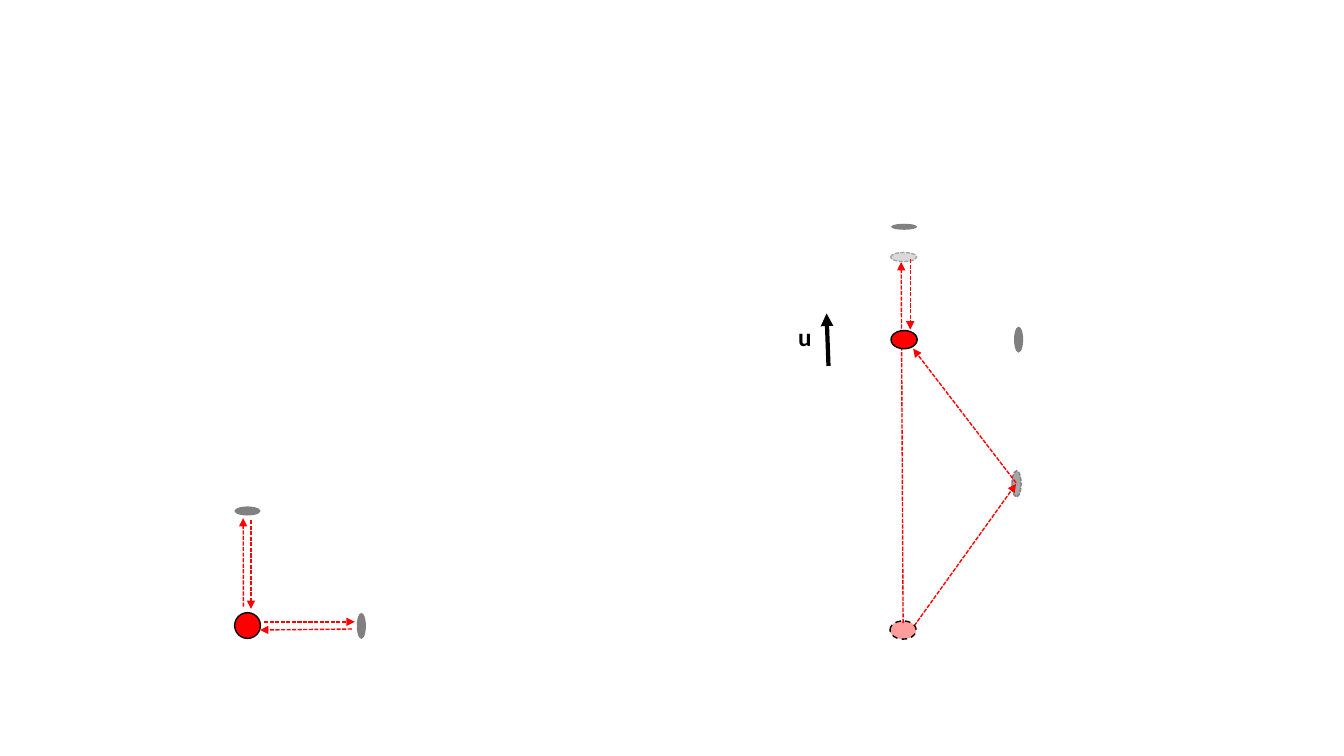
from dataclasses import dataclass
from lxml.etree import SubElement
from pptx import Presentation
from pptx.dml.color import RGBColor as Color
from pptx.enum.dml import MSO_LINE as Dash
from pptx.enum.shapes import MSO_CONNECTOR as Connector, MSO_SHAPE as Shape
from pptx.enum.text import MSO_AUTO_SIZE as AutoSize
from pptx.oxml.ns import qn
from pptx.util import Pt


@dataclass(frozen=True)
class Theme:
    red: Color = Color(0xFF, 0x00, 0x00)
    black: Color = Color(0x00, 0x00, 0x00)
    grey: Color = Color(0x80, 0x80, 0x80)
    mid_grey: Color = Color(0xA6, 0xA6, 0xA6)
    light_grey: Color = Color(0xD9, 0xD9, 0xD9)
    font: str = "Calibri"
    label_size: int = 18


theme = Theme()


def add_ellipse(group, center, size, fill, outline=None, dash=None, opacity=100):
    """Centre an ellipse on a point; opacity is in percent."""
    (x, y), (width, height) = center, size
    ellipse = group.shapes.add_shape(
        Shape.OVAL, Pt(x - width / 2), Pt(y - height / 2), Pt(width), Pt(height))
    ellipse.shadow.inherit = False
    ellipse.fill.solid()
    ellipse.fill.fore_color.rgb = fill
    if opacity < 100:
        color = ellipse.fill._xPr.find(qn("a:solidFill"))[0]
        SubElement(color, qn("a:alpha"), val=str(opacity * 1000))
    if outline is None:
        ellipse.line.fill.background()
    else:
        ellipse.line.color.rgb = outline
        ellipse.line.width = Pt(1)
        ellipse.line.dash_style = dash


def add_arrow(group, start, end, color, width, dash=None):
    arrow = group.shapes.add_connector(
        Connector.STRAIGHT, *(Pt(value) for value in (*start, *end)))
    arrow.line.color.rgb = color
    arrow.line.width = Pt(width)
    arrow.line.dash_style = dash
    SubElement(arrow.line._get_or_add_ln(), qn("a:tailEnd"), type="triangle")
    SubElement(arrow._element.spPr, qn("a:effectLst"))


deck = Presentation()
deck.slide_width, deck.slide_height = Pt(960), Pt(540)
page = deck.slides.add_slide(deck.slide_layouts[6])
resting = page.shapes.add_group_shape()
moving = page.shapes.add_group_shape()

# Mirrors: group, centre, size, fill, outline, dash
flat, upright = (18.7, 6.5), (6.5, 18.7)
mirrors = [
    (resting, (176.8, 365), flat, theme.grey, None, None),
    (resting, (258.1, 447.1), upright, theme.grey, None, None),
    (moving, (645.5, 183.6), flat, theme.light_grey, theme.mid_grey, Dash.SQUARE_DOT),
    (moving, (645.8, 162), (18.7, 4.3), theme.grey, None, None),
    (moving, (727.6, 242.6), upright, theme.grey, None, None),
    (moving, (726.1, 345.6), upright, theme.mid_grey, theme.grey, Dash.SQUARE_DOT),
]
for mirror in mirrors:
    add_ellipse(*mirror)

# Light rays: group, start, end
rays = [
    (resting, (179.3, 371.5), (179.3, 434.9)),
    (resting, (173.9, 433.4), (173.7, 370.1)),
    (resting, (251.3, 449.3), (185.8, 450)),
    (resting, (188.6, 444.2), (253.4, 444.2)),
    (moving, (650.2, 185), (650.2, 235.4)),
    (moving, (645.1, 445), (643.7, 187.2)),
    (moving, (725.8, 344.9), (652.3, 249.1)),
    (moving, (653, 447.1), (725.8, 345.6)),
]
for group, start, end in rays:
    add_arrow(group, start, end, theme.red, 1, Dash.SQUARE_DOT)

# Light sources, the earlier position faded
squeezed = (18.7, 13)
add_ellipse(resting, (176.8, 446.8), (18.4, 18.4), theme.red, theme.black)
add_ellipse(moving, (645.8, 242.6), squeezed, theme.red, theme.black)
add_ellipse(moving, (645.1, 450), squeezed, theme.red, theme.black, Dash.DASH, 39)

# Direction of motion
add_arrow(moving, (591.8, 261.4), (590.4, 223.9), theme.black, 3)
label = moving.shapes.add_textbox(Pt(563), Pt(226), Pt(22.5), Pt(29))
label.text_frame.word_wrap = False
label.text_frame.auto_size = AutoSize.SHAPE_TO_FIT_TEXT
para = label.text_frame.paragraphs[0]
para.text = "u"
para.font.name = theme.font
para.font.size = Pt(theme.label_size)
para.font.bold = True
para.font.color.rgb = theme.black

deck.save("out.pptx")
